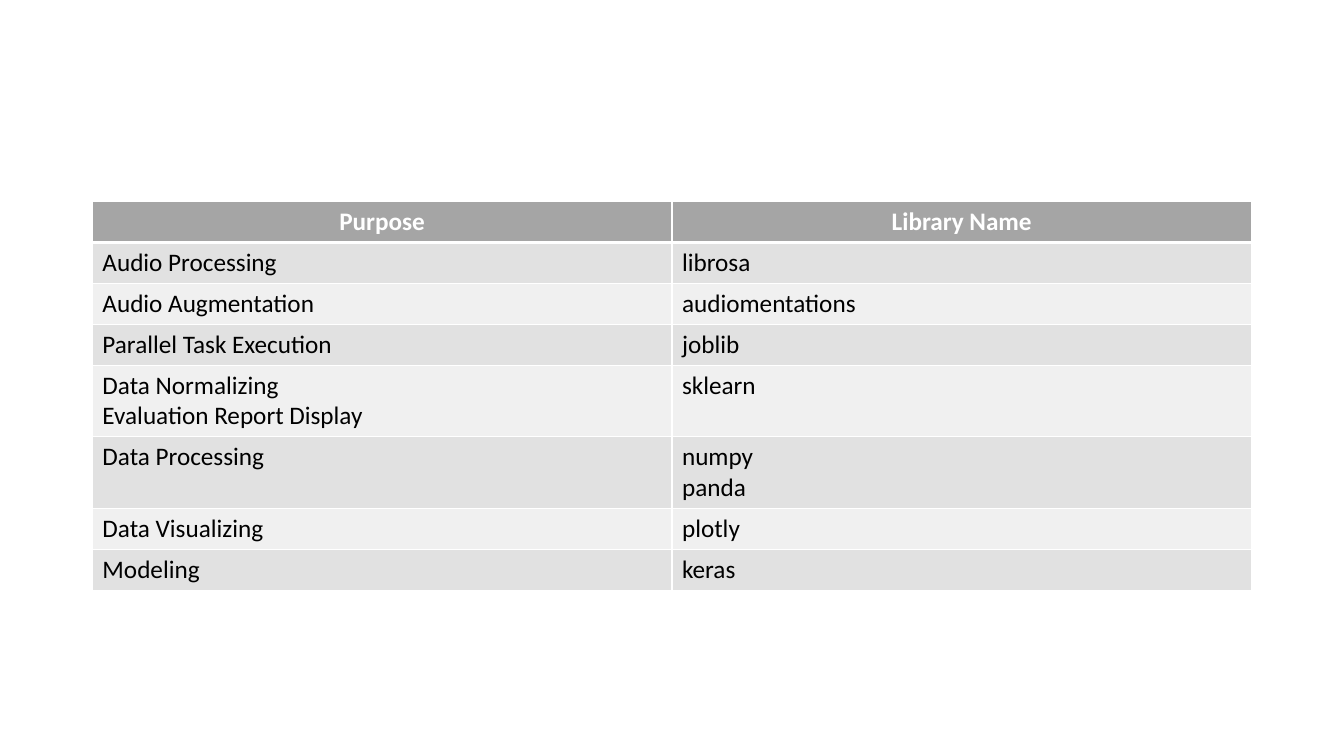
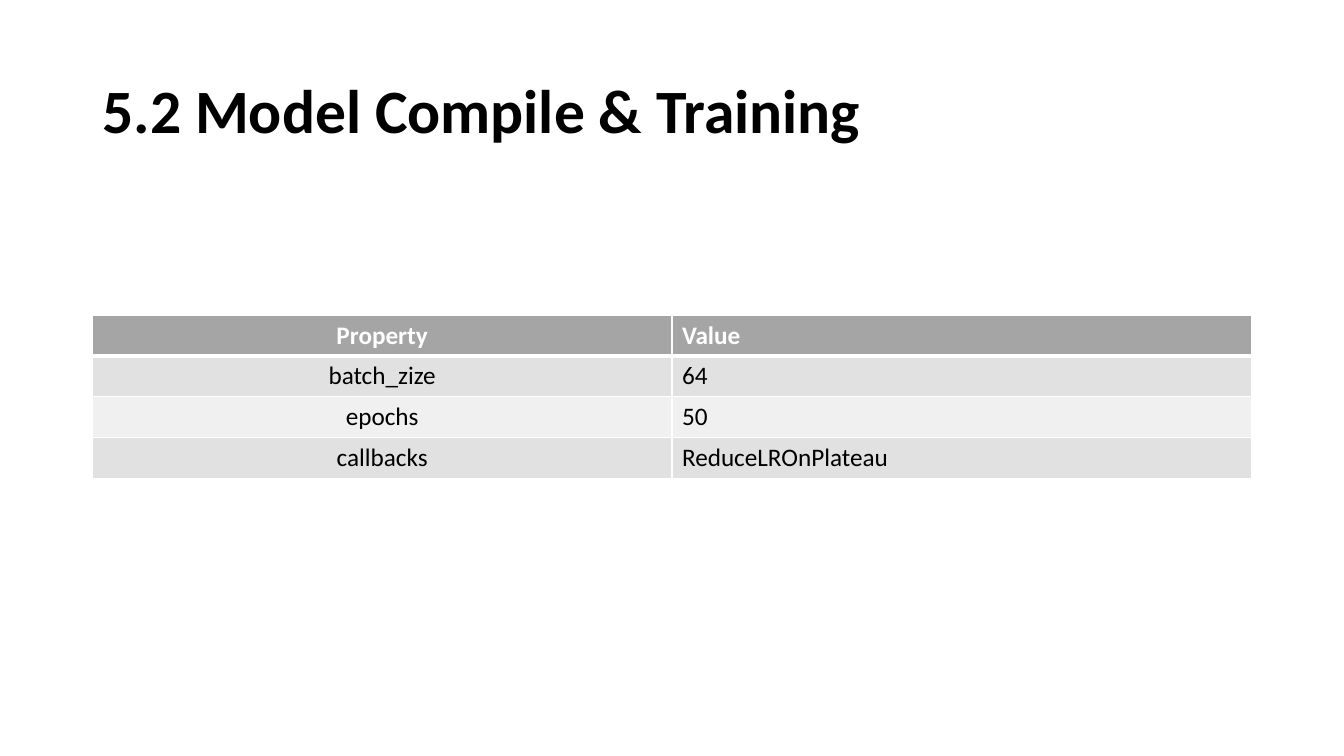
"""Build two slides with grey banded tables of libraries and training settings."""
from lxml.etree import SubElement
from pptx import Presentation
from pptx.dml.color import RGBColor
from pptx.enum.text import MSO_ANCHOR, MSO_AUTO_SIZE, PP_ALIGN
from pptx.oxml.ns import qn
from pptx.util import Pt

WHITE = RGBColor(0xFF, 0xFF, 0xFF)
BLACK = RGBColor(0, 0, 0)
HEADER_GREY = RGBColor(0xA5, 0xA5, 0xA5)
BANDS = (RGBColor(0xF0, 0xF0, 0xF0), RGBColor(0xE1, 0xE1, 0xE1))
FONT = "Calibri"
LEFT, WIDTH, ROW_HEIGHT = 66, 828, 29.2
TITLE_LAYOUT, BLANK_LAYOUT = 5, 6
CENTER, START = PP_ALIGN.CENTER, PP_ALIGN.LEFT

LIBRARIES = (
    ("Purpose", "Library Name"),
    ("Audio Processing", "librosa"),
    ("Audio Augmentation", "audiomentations"),
    ("Parallel Task Execution", "joblib"),
    ("Data Normalizing\nEvaluation Report Display", "sklearn"),
    ("Data Processing", "numpy\npanda"),
    ("Data Visualizing", "plotly"),
    ("Modeling", "keras"),
)
TRAINING = (
    ("Property", "Value"),
    ("batch_zize", "64"),
    ("epochs", "50"),
    ("callbacks", "ReduceLROnPlateau"),
)


def style_text(para, size, color, bold):
    for span in para.runs:
        span.font.name = FONT
        span.font.size = Pt(size)
        span.font.bold = bold
        span.font.color.rgb = color


def add_grid(page, top, rows, header_aligns, body_aligns):
    columns = len(rows[0])
    grid = page.shapes.add_table(len(rows), columns, Pt(LEFT), Pt(top),
                                 Pt(WIDTH), Pt(ROW_HEIGHT * len(rows))).table
    for row, texts in enumerate(rows):
        header = row == 0
        aligns = header_aligns if header else body_aligns
        widths = {"L": 1, "R": 1, "T": 3 if row == 1 else 1, "B": 3 if header else 1}
        for column, text in enumerate(texts):
            cell = grid.cell(row, column)
            para = cell.text_frame.paragraphs[0]
            para.text = text
            para.alignment = aligns[column]
            style_text(para, 18, WHITE if header else BLACK, header)
            properties = cell._tc.get_or_add_tcPr()
            for side, width in widths.items():
                line = SubElement(properties, qn(f"a:ln{side}"), w=str(Pt(width)))
                fill = SubElement(line, qn("a:solidFill"))
                SubElement(fill, qn("a:srgbClr"), val=str(WHITE))
            cell.fill.solid()
            cell.fill.fore_color.rgb = HEADER_GREY if header else BANDS[row % 2]


deck = Presentation()
deck.slide_width, deck.slide_height = Pt(960), Pt(540)

page = deck.slides.add_slide(deck.slide_layouts[BLANK_LAYOUT])
add_grid(page, 144, LIBRARIES, (CENTER, CENTER), (START, START))

page = deck.slides.add_slide(deck.slide_layouts[TITLE_LAYOUT])
title = page.shapes.title
title.left, title.top, title.width, title.height = Pt(LEFT), Pt(28.75), Pt(WIDTH), Pt(104.4)
frame = title.text_frame
frame.text = "5.2 Model Compile & Training"
frame.word_wrap = True
frame.auto_size = MSO_AUTO_SIZE.NONE
frame.vertical_anchor = MSO_ANCHOR.MIDDLE
para = frame.paragraphs[0]
para.alignment = START
para.line_spacing = 0.9
style_text(para, 44, BLACK, True)
add_grid(page, 225, TRAINING, (CENTER, START), (CENTER, START))

deck.save("out.pptx")
